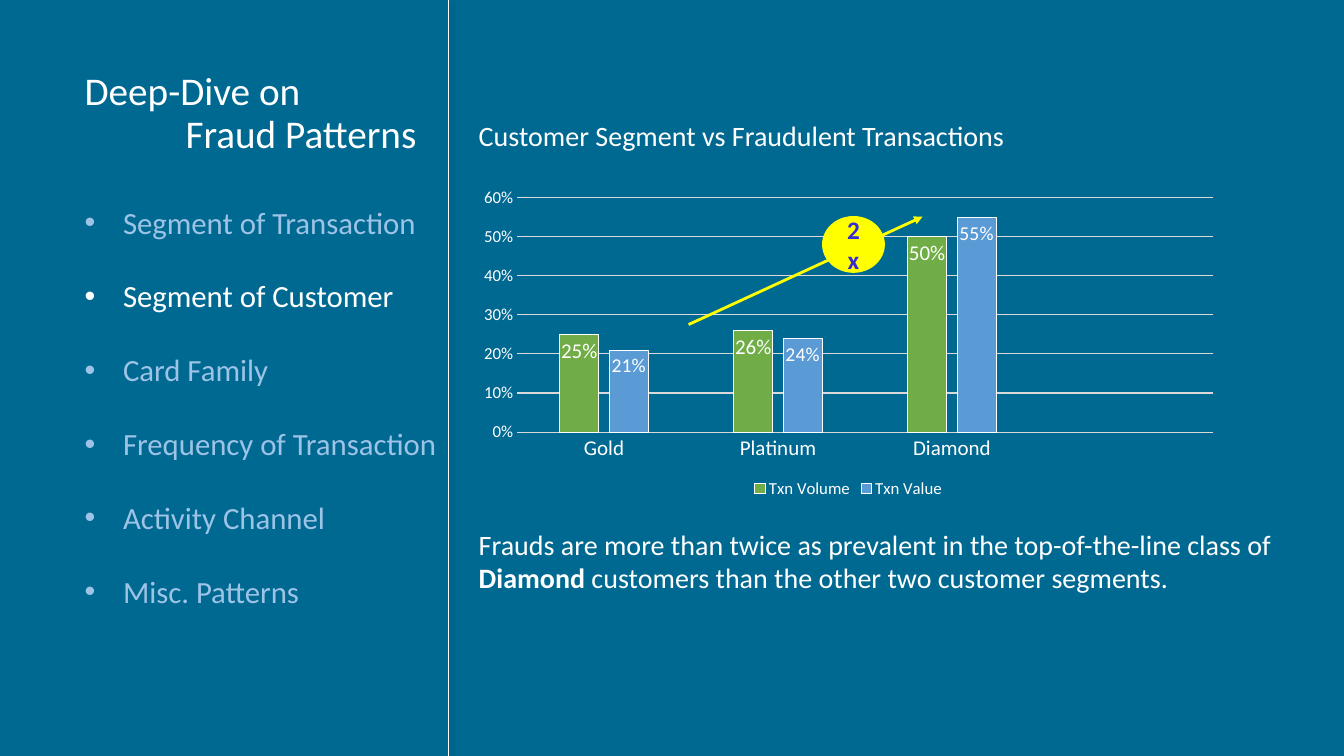
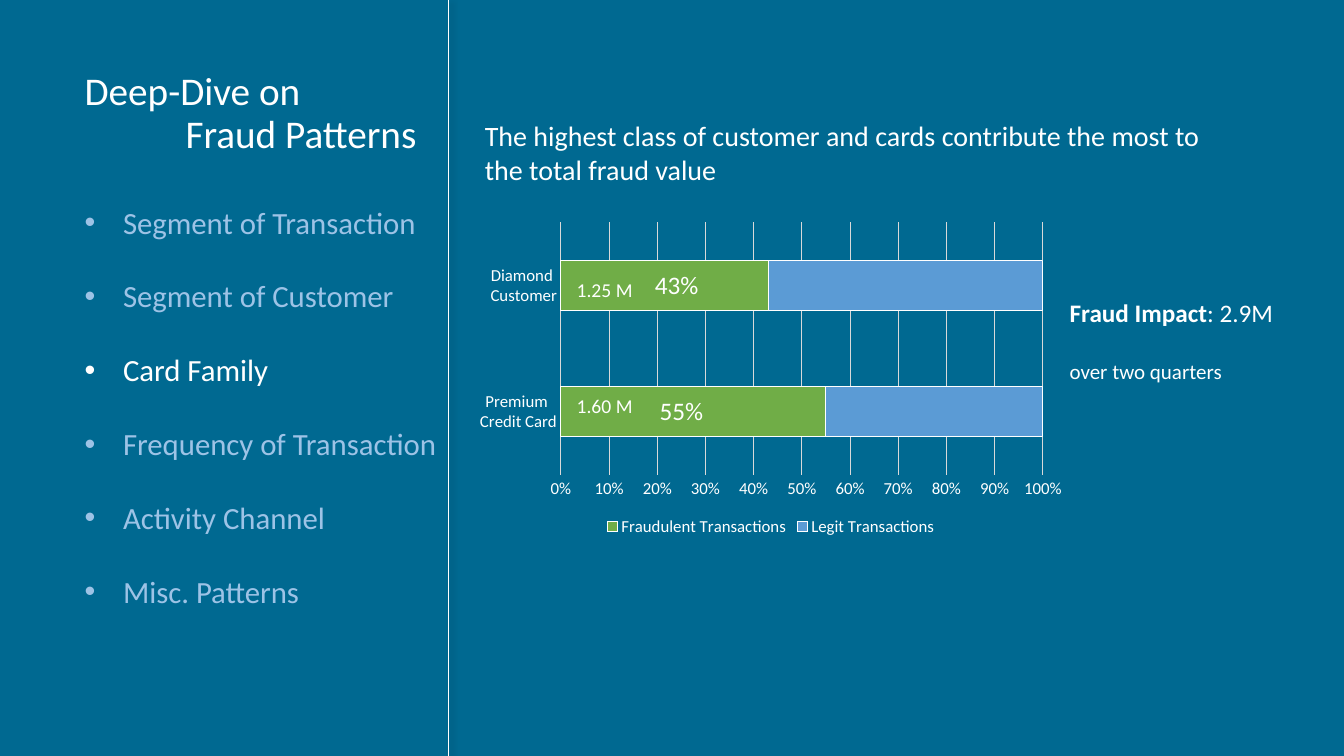
from dataclasses import dataclass

from lxml import etree
from pptx import Presentation
from pptx import util as u
from pptx.chart import data as chart_data
from pptx.dml.color import RGBColor
from pptx.enum import chart as ch, shapes, text
from pptx.oxml import ns

FONT = "Calibri"
COLORS = {
    "background": "006991", "text": "FFFFFF", "muted": "9DC3E6",
    "grid": "D9D9D9", "green": "70AD47", "blue": "5B9BD5",
    "highlight": "FFFF00", "badge_text": "362AD4", "shadow": "000000",
}
TITLE_LINES = ("Deep-Dive on", "Fraud Patterns")
TOPICS = (
    "Segment of Transaction", "Segment of Customer", "Card Family",
    "Frequency of Transaction", "Activity Channel", "Misc. Patterns",
)


@dataclass(frozen=True)
class Box:
    left: float
    top: float
    width: float
    height: float

    def lengths(self) -> tuple:
        return tuple(u.Inches(v) for v in (self.left, self.top, self.width, self.height))


@dataclass(frozen=True)
class Span:
    words: str
    bold: bool = False


@dataclass(frozen=True)
class Line:
    spans: tuple
    size: float
    space_before: float = 0


@dataclass(frozen=True)
class Note:
    box: Box
    lines: tuple


@dataclass(frozen=True)
class Series:
    name: str
    values: tuple
    color: str


@dataclass(frozen=True)
class ChartSpec:
    box: Box
    kind: ch.XL_CHART_TYPE
    categories: tuple
    series: tuple
    gap: int
    overlap: int
    category_size: float


def rgb(name: str) -> RGBColor:
    return RGBColor.from_string(COLORS[name])


def style_font(font, size: float, color: str = "text") -> None:
    font.name = FONT
    font.size = u.Pt(size)
    font.color.rgb = rgb(color)


def style_line(line, color: str, width: float) -> None:
    line.color.rgb = rgb(color)
    line.width = u.Pt(width)


def place(shape, box: Box) -> None:
    shape.left, shape.top, shape.width, shape.height = box.lengths()


def set_indent(paragraph, left: float, first: float = 0) -> None:
    props = paragraph._p.get_or_add_pPr()
    props.set("marL", str(u.Inches(left)))
    props.set("indent", str(u.Inches(first)))


# Shared parts: title, topic list, divider
def add_title(slide) -> None:
    title = slide.shapes.title
    place(title, Box(0.74, 0.67, 3.52, 0.93))
    frame = title.text_frame
    frame.auto_size = text.MSO_AUTO_SIZE.NONE
    frame.vertical_anchor = text.MSO_ANCHOR.MIDDLE
    frame.text = "\n".join(TITLE_LINES)
    for level, paragraph in enumerate(frame.paragraphs):
        style_font(paragraph.font, 28)
        paragraph.alignment = text.PP_ALIGN.LEFT
        paragraph.line_spacing = 0.9
        set_indent(paragraph, level)


def add_topics(slide, current: str) -> None:
    topics = slide.placeholders[1]
    place(topics, Box(0.74, 1.6, 4.12, 4.85))
    frame = topics.text_frame
    frame.auto_size = text.MSO_AUTO_SIZE.NONE
    frame.text = "\n".join(TOPICS)
    for topic, paragraph in zip(TOPICS, frame.paragraphs):
        style_font(paragraph.font, 22, "text" if topic == current else "muted")
        paragraph.line_spacing = 2.0
        paragraph.space_before = u.Pt(0)
        set_indent(paragraph, 0.38, -0.38)


def add_line(slide, start: tuple, end: tuple, color: str, width: float):
    """Draw a straight line and return it with its empty effect list."""
    ends = [u.Inches(v) for v in (*start, *end)]
    line = slide.shapes.add_connector(shapes.MSO_CONNECTOR.STRAIGHT, *ends)
    style_line(line.line, color, width)
    effects = etree.SubElement(line._element.spPr, ns.qn("a:effectLst"))
    return line, effects


def add_divider(slide) -> None:
    _, effects = add_line(slide, (4.45, 0), (4.45, 7.5), "text", 0.5)
    shadow = etree.SubElement(
        effects, ns.qn("a:outerShdw"), blurRad=str(u.Pt(4)), dist=str(u.Pt(3)),
        dir=str(45 * 60000), algn="tl", rotWithShape="0")
    tint = etree.SubElement(shadow, ns.qn("a:srgbClr"), val=COLORS["shadow"])
    etree.SubElement(tint, ns.qn("a:alpha"), val="40000")


def add_topic_slide(prs, current: str):
    slide = prs.slides.add_slide(prs.slide_layouts[1])
    add_title(slide)
    add_topics(slide, current)
    add_divider(slide)
    return slide


# Text and charts
def add_note(slide, note: Note) -> None:
    frame = slide.shapes.add_textbox(*note.box.lengths()).text_frame
    frame.word_wrap = True
    for index, line in enumerate(note.lines):
        paragraph = frame.add_paragraph() if index else frame.paragraphs[0]
        style_font(paragraph.font, line.size)
        paragraph.space_before = u.Pt(line.space_before)
        for span in line.spans:
            run = paragraph.add_run()
            run.text = span.words
            if span.bold:
                run.font.bold = True


def add_plain_note(slide, box: Box, words: str, size: float) -> None:
    add_note(slide, Note(box, (Line((Span(words),), size),)))


def add_chart(slide, spec: ChartSpec):
    data = chart_data.CategoryChartData()
    data.categories = spec.categories
    for series in spec.series:
        data.add_series(series.name, series.values)
    chart = slide.shapes.add_chart(spec.kind, *spec.box.lengths(), data).chart
    style_font(chart.font, 10)
    chart.has_title = False
    chart.has_legend = True
    chart.legend.position = ch.XL_LEGEND_POSITION.BOTTOM
    chart.legend.include_in_layout = False
    style_font(chart.legend.font, 12)

    plot = chart.plots[0]
    plot.gap_width, plot.overlap = spec.gap, spec.overlap
    plot.vary_by_categories = False
    for bars, series in zip(plot.series, spec.series):
        bars.format.fill.solid()
        bars.format.fill.fore_color.rgb = rgb(series.color)
        style_line(bars.format.line, "text", 0.75)

    categories, values = chart.category_axis, chart.value_axis
    for axis, size in ((categories, spec.category_size), (values, 12)):
        axis.major_tick_mark = axis.minor_tick_mark = ch.XL_TICK_MARK.NONE
        style_font(axis.tick_labels.font, size)
    style_line(categories.format.line, "grid", 0.75)
    values.format.line.fill.background()
    values.has_major_gridlines = True
    style_line(values.major_gridlines.format.line, "grid", 0.75)
    values.tick_labels.number_format = "0%"
    values.tick_labels.number_format_is_linked = False
    return chart


def label_values(series, size: float) -> None:
    labels = series.data_labels
    labels.show_value = True
    labels.number_format = "0%"
    labels.number_format_is_linked = False
    labels.position = ch.XL_LABEL_POSITION.INSIDE_END
    style_font(labels.font, size)


def label_point(point, words: str, shift: float) -> None:
    """Label one bar, shifted sideways by a share of the chart width."""
    label = point.data_label
    run = label.text_frame.paragraphs[0].add_run()
    run.text = words
    style_font(run.font, 18)
    run.font.bold = False
    layout = etree.Element(ns.qn("c:layout"))
    manual = etree.SubElement(layout, ns.qn("c:manualLayout"))
    for axis, offset in (("x", shift), ("y", 0)):
        etree.SubElement(manual, ns.qn(f"c:{axis}"), val=str(offset))
    label._dLbl.find(ns.qn("c:idx")).addnext(layout)


# Slide 1: customer segments
def build_customer_slide(prs) -> None:
    slide = add_topic_slide(prs, "Segment of Customer")
    chart = add_chart(slide, ChartSpec(
        Box(4.65, 1.8, 7.53, 3.19), ch.XL_CHART_TYPE.COLUMN_CLUSTERED,
        ("Gold", "Platinum", "Diamond", ""),
        (Series("Txn Volume", (0.25, 0.26, 0.5, None), "green"),
         Series("Txn Value", (0.21, 0.24, 0.55, None), "blue")),
        gap=219, overlap=-27, category_size=15))
    chart.value_axis.minimum_scale, chart.value_axis.maximum_scale = 0, 0.6
    chart.value_axis.major_unit = 0.1
    for series, size in zip(chart.plots[0].series, (15, 14)):
        label_values(series, size)
    add_plain_note(slide, Box(4.65, 1.13, 8.6, 0.74),
                   "Customer Segment vs Fraudulent Transactions", 20)

    # Growth arrow and badge
    arrow, _ = add_line(slide, (6.83, 3.22), (9.15, 2.15), "highlight", 2)
    etree.SubElement(arrow.line._get_or_add_ln(), ns.qn("a:tailEnd"), type="triangle")
    badge = slide.shapes.add_shape(
        shapes.MSO_SHAPE.OVAL, *Box(8.16, 2.15, 0.61, 0.55).lengths())
    badge.shadow.inherit = False
    badge.fill.solid()
    badge.fill.fore_color.rgb = rgb("highlight")
    style_line(badge.line, "highlight", 1)
    badge.text_frame.word_wrap = True
    badge.text_frame.vertical_anchor = text.MSO_ANCHOR.MIDDLE
    factor = badge.text_frame.paragraphs[0]
    factor.text = "2x"
    factor.alignment = text.PP_ALIGN.CENTER
    style_font(factor.font, 18, "badge_text")
    factor.font.bold = True

    add_note(slide, Note(Box(4.65, 5.18, 8.24, 1.08), (Line((
        Span("Frauds are more than twice as prevalent in the top-of-the-line class of "),
        Span("Diamond", bold=True),
        Span(" customers than the other two customer segments.")), 20),)))


# Slide 2: card families
def build_card_slide(prs) -> None:
    slide = add_topic_slide(prs, "Card Family")
    chart = add_chart(slide, ChartSpec(
        Box(4.64, 2.14, 6.01, 3.22), ch.XL_CHART_TYPE.BAR_STACKED_100,
        ("Premium \nCredit Card", "Diamond \nCustomer"),
        (Series("Fraudulent Transactions", (55, 43), "green"),
         Series("Legit Transactions", (45, 57), "blue")),
        gap=150, overlap=100, category_size=12))
    fraud = chart.plots[0].series[0]
    for index, (share, shift) in enumerate((("55%", -0.02), ("43%", 0.02))):
        label_point(fraud.points[index], share, shift)
    add_plain_note(
        slide, Box(4.71, 1.13, 7.71, 0.77),
        "The highest class of customer and cards contribute the most to the total fraud value", 20)
    add_note(slide, Note(Box(10.51, 2.9, 2.4, 0.96), (
        Line((Span("Fraud Impact", bold=True), Span(": 2.9M")), 18),
        Line((Span("over two quarters"),), 15, space_before=22))))
    for amount, top in (("1.25 M", 2.71), ("1.60 M", 3.86)):
        add_plain_note(slide, Box(5.62, top, 0.85, 0.34), amount, 14)


def main() -> None:
    prs = Presentation()
    prs.slide_width, prs.slide_height = u.Inches(13.33), u.Inches(7.5)
    background = prs.slide_master.background.fill
    background.solid()
    background.fore_color.rgb = rgb("background")
    build_customer_slide(prs)
    build_card_slide(prs)
    prs.save("out.pptx")


if __name__ == "__main__":
    main()
